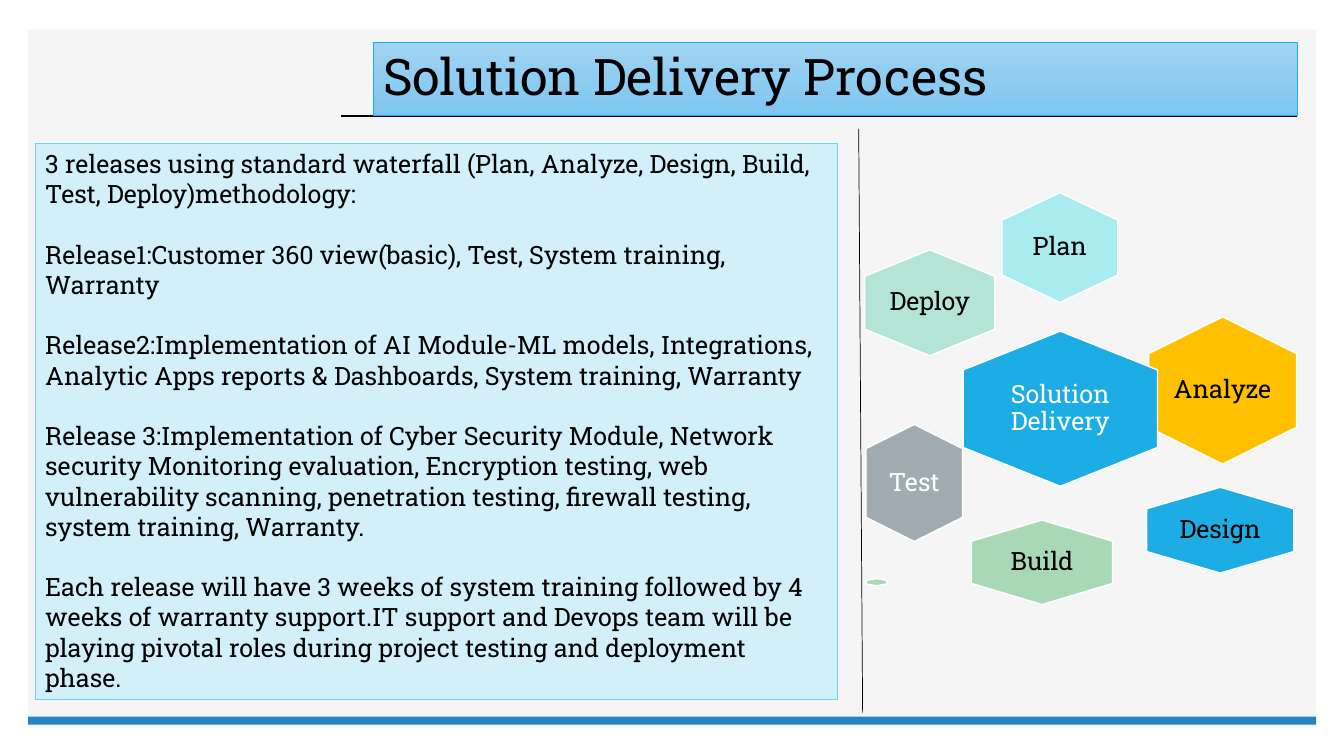
from pptx import Presentation
from pptx.dml.color import RGBColor
from pptx.enum.shapes import MSO_CONNECTOR, MSO_SHAPE
from pptx.enum.text import MSO_ANCHOR, MSO_AUTO_SIZE, PP_ALIGN
from pptx.oxml.ns import qn
from pptx.util import Cm, Pt
from lxml.etree import SubElement

FONT = "Roboto Slab"
BLACK = RGBColor(0x00, 0x00, 0x00)
WHITE = RGBColor(0xFF, 0xFF, 0xFF)
PANEL = RGBColor(0xF5, 0xF5, 0xF5)
BAR = RGBColor(0x26, 0x83, 0xC6)
BLUE = RGBColor(0x1C, 0xAD, 0xE4)
TITLE_TOP = RGBColor(0xA0, 0xD3, 0xF2)
TITLE_BOTTOM = RGBColor(0x7E, 0xC6, 0xF1)
BODY_FILL = RGBColor(0xD2, 0xEF, 0xFA)
BODY_LINE = RGBColor(0x77, 0xCE, 0xEF)
AQUA = RGBColor(0xA8, 0xEC, 0xEF)
AMBER = RGBColor(0xFF, 0xC0, 0x00)
MINT = RGBColor(0xB3, 0xE4, 0xD6)
GREY = RGBColor(0xA1, 0xAC, 0xB2)
GREEN = RGBColor(0xA9, 0xD8, 0xB7)

RELEASES = [
    "3 releases using standard waterfall (Plan, Analyze, Design, Build, Test, Deploy)methodology:",
    "Release1:Customer 360 view(basic), Test, System training, Warranty",
    "Release2:Implementation of AI Module-ML models, Integrations, Analytic Apps reports & Dashboards, "
    "System training, Warranty",
    "Release 3:Implementation of Cyber Security Module, Network security Monitoring evaluation, "
    "Encryption testing, web vulnerability scanning, penetration testing, firewall testing, "
    "system training, Warranty.",
    "Each release will have 3 weeks of system training followed by 4 weeks of warranty support."
    "IT support and Devops team will be playing pivotal roles during project testing and "
    "deployment phase.",
]

# centre x, centre y, width, height, fill
HEXAGONS = {
    "Plan": (26.71, 6.24, 2.92, 2.77, AQUA),
    "Analyze": (30.81, 9.84, 3.73, 3.71, AMBER),
    "Solution Delivery": (26.72, 10.3, 4.9, 3.91, BLUE),
    "Deploy": (23.43, 7.63, 3.28, 2.67, MINT),
    "Test": (23.04, 12.17, 2.44, 2.95, GREY),
    "Build": (26.26, 14.17, 3.56, 2.13, GREEN),
    "Design": (30.75, 13.36, 3.71, 2.16, BLUE),
}
# label width, label height, text colour
LABELS = {
    "Plan": (1.96, 1.85, BLACK),
    "Analyze": (2.49, 2.49, BLACK),
    "Solution Delivery": (3.25, 2.59, WHITE),
    "Deploy": (2.18, 1.78, BLACK),
    "Test": (1.7, 2.03, WHITE),
    "Build": (2.36, 1.42, BLACK),
    "Design": (2.46, 1.42, BLACK),
}


def set_font(p, size, color):
    p.font.name = FONT
    p.font.size = Pt(size)
    p.font.color.rgb = color


def add_box(s, kind, x, y, w, h, fill, line=None, line_width=1):
    sp = s.shapes.add_shape(kind, Cm(x), Cm(y), Cm(w), Cm(h))
    sp.shadow.inherit = False
    sp.fill.solid()
    sp.fill.fore_color.rgb = fill
    if line is None:
        sp.line.fill.background()
    else:
        sp.line.color.rgb = line
        sp.line.width = Pt(line_width)
    return sp


def add_line(s, x1, y1, x2, y2, width):
    line = s.shapes.add_connector(MSO_CONNECTOR.STRAIGHT, Cm(x1), Cm(y1), Cm(x2), Cm(y2))
    line.line.color.rgb = BLACK
    line.line.width = Pt(width)
    SubElement(line.element.spPr, qn("a:effectLst"))


def add_title(s, text):
    title = s.shapes.title
    s.shapes.element.append(title.element)  # in front of the panel
    title.left, title.top, title.width, title.height = Cm(9.4), Cm(1.07), Cm(23.29), Cm(1.85)
    title.fill.gradient()
    title.fill.gradient_angle = 270
    for stop, color in zip(title.fill.gradient_stops, (TITLE_TOP, TITLE_BOTTOM)):
        stop.color.rgb = color
    title.line.color.rgb = BLUE
    title.line.width = Pt(0.5)
    tf = title.text_frame
    tf.text = text
    tf.auto_size = MSO_AUTO_SIZE.NONE
    tf.vertical_anchor = MSO_ANCHOR.MIDDLE
    p = tf.paragraphs[0]
    p.alignment = PP_ALIGN.LEFT
    p.line_spacing = 0.9
    set_font(p, 36, BLACK)


def add_hexagon(s, cx, cy, w, h, fill):
    """Add a hexagon that points up, centred on cx, cy."""
    sp = add_box(s, MSO_SHAPE.HEXAGON, cx - h / 2, cy - w / 2, h, w, fill, WHITE)
    sp.rotation = 90


def add_label(s, text, cx, cy, w, h, color):
    tb = s.shapes.add_textbox(Cm(cx - w / 2), Cm(cy - h / 2), Cm(w), Cm(h))
    tf = tb.text_frame
    tf.word_wrap = True
    tf.vertical_anchor = MSO_ANCHOR.MIDDLE
    tf.margin_left = tf.margin_right = tf.margin_top = tf.margin_bottom = 0
    p = tf.paragraphs[0]
    p.text = text
    p.alignment = PP_ALIGN.CENTER
    p.line_spacing = 0.9
    set_font(p, 18, color)


def add_releases(s):
    sp = add_box(s, MSO_SHAPE.RECTANGLE, 0.89, 3.61, 20.22, 14.02, BODY_FILL, BODY_LINE, 0.75)
    tf = sp.text_frame
    tf.word_wrap = True
    tf.vertical_anchor = MSO_ANCHOR.TOP
    for i, text in enumerate(RELEASES):
        p = tf.add_paragraph() if i else tf.paragraphs[0]
        p.text = text
        p.alignment = PP_ALIGN.LEFT
        p.space_before = Pt(21.6 if i else 0)
        set_font(p, 18, BLACK)


def main():
    prs = Presentation()
    prs.slide_width, prs.slide_height = Cm(33.87), Cm(19.05)
    s = prs.slides.add_slide(prs.slide_layouts[5])
    add_box(s, MSO_SHAPE.RECTANGLE, 0.71, 0.74, 32.46, 17.6, PANEL)
    add_line(s, 8.59, 2.92, 32.69, 2.92, 1)
    add_box(s, MSO_SHAPE.RECTANGLE, 0.71, 18.06, 32.46, 0.2, BAR)
    add_title(s, "Solution Delivery Process")
    for name, (cx, cy, w, h, fill) in HEXAGONS.items():
        add_hexagon(s, cx, cy, w, h, fill)
        add_label(s, name, cx, cy, *LABELS[name])
    add_hexagon(s, 22.09, 14.67, 0.53, 0.18, GREEN)
    add_line(s, 21.64, 3.25, 21.74, 17.96, 0.5)
    add_releases(s)
    prs.save("out.pptx")


if __name__ == "__main__":
    main()
